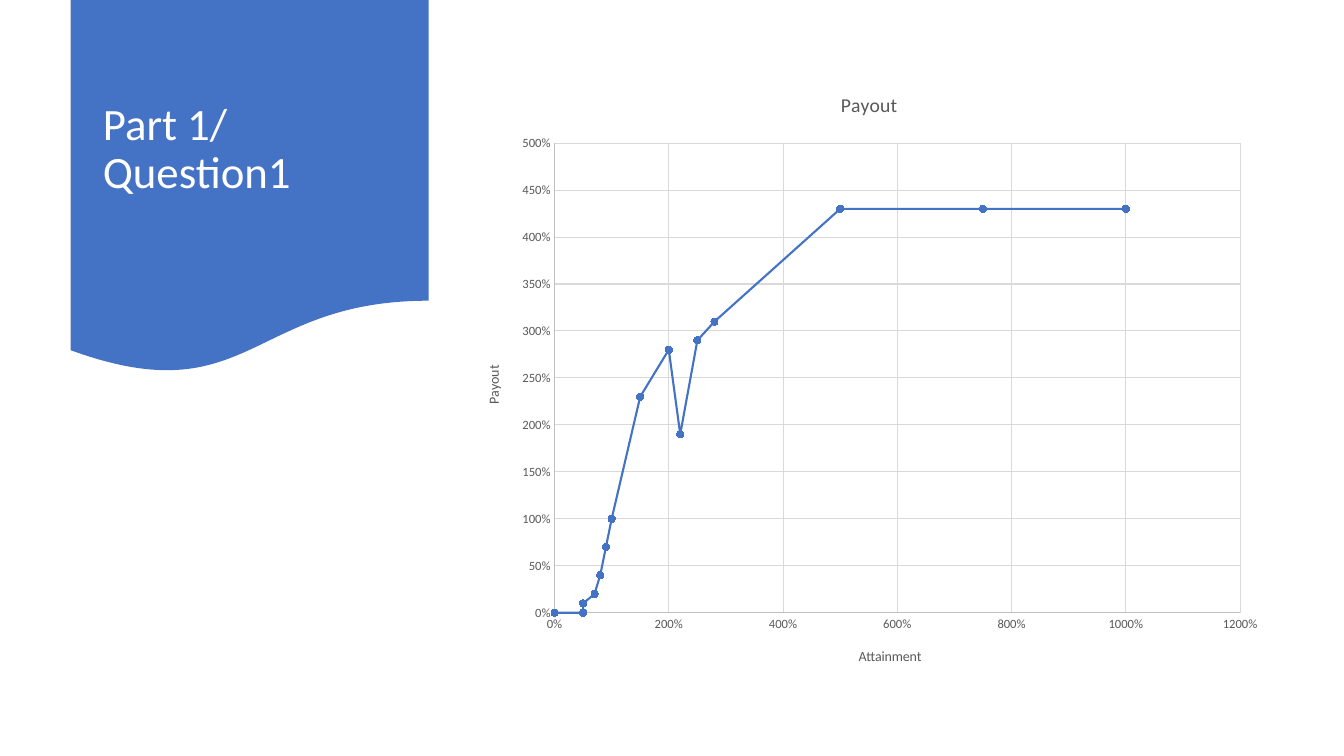
"""Build the payout curve slide with its banner title."""
from lxml.etree import SubElement
from pptx import Presentation
from pptx.chart.data import XyChartData
from pptx.dml.color import RGBColor
from pptx.enum.chart import XL_CHART_TYPE, XL_MARKER_STYLE, XL_TICK_MARK
from pptx.enum.shapes import MSO_SHAPE
from pptx.enum.text import MSO_ANCHOR, MSO_AUTO_SIZE, PP_ALIGN
from pptx.oxml.ns import qn
from pptx.util import Inches, Pt

FONT = "Calibri"
COLORS = {"blue": "4472C4", "white": "FFFFFF", "text": "595959",
          "axis": "BFBFBF", "grid": "D9D9D9"}
HEADING = "Part 1/ Question1"
CURVE_NAME = "Payout"
PAYOUT_BY_ATTAINMENT = [
    (0, 0), (0.5, 0), (0.5, 0.1), (0.7, 0.2), (0.8, 0.4),
    (0.9, 0.7), (1, 1), (1.5, 2.3), (2, 2.8), (2.2, 1.9),
    (2.5, 2.9), (2.8, 3.1), (5, 4.3), (7.5, 4.3), (10, 4.3),
]
AXES = {
    "category_axis": {"title": "Attainment", "maximum": 12, "step": 2,
                      "rotation": 0, "corner": (8.49, 6.4)},
    "value_axis": {"title": "Payout", "maximum": 5, "step": 0.5,
                   "rotation": -90, "corner": (4.78, 3.6)},
}
BANNER_BOX = (0.7, 0, 3.55, 3.72)
HEADING_BOX = (0.92, 0.19, 3.11, 2.59)
CHART_BOX = (4.6, 0.7, 8.04, 6.1)
PLOT_BOX = (5.5, 1.42, 6.8, 4.66)


def color(name):
    return RGBColor.from_string(COLORS[name])


def style_font(font, size, color_name):
    for key, value in {"name": FONT, "size": Pt(size), "bold": False}.items():
        setattr(font, key, value)
    font.color.rgb = color(color_name)


def style_line(line, color_name, width):
    line.color.rgb = color(color_name)
    line.width = Pt(width)


def place_part(element, position, corner, size=()):
    left, top, width, height = CHART_BOX
    layout = element.find(qn("c:layout"))
    if layout is None:
        layout = element.makeelement(qn("c:layout"))
        element.insert(position, layout)
    manual = SubElement(layout, qn("c:manualLayout"))
    settings = {"layoutTarget": "inner"} if size else {}
    settings.update(xMode="edge", yMode="edge",
                    x=(corner[0] - left) / width, y=(corner[1] - top) / height)
    if size:
        settings.update(w=size[0] / width, h=size[1] / height)
    for tag, value in settings.items():
        SubElement(manual, qn(f"c:{tag}")).set("val", str(value))


def add_banner(slide):
    banner = slide.shapes.add_shape(
        MSO_SHAPE.FLOWCHART_DOCUMENT, *map(Inches, BANNER_BOX))
    banner.shadow.inherit = False
    banner.fill.solid()
    banner.fill.fore_color.rgb = color("blue")
    banner.line.fill.background()
    slide.shapes._spTree.insert(2, banner._element)


def add_heading(slide):
    heading = slide.shapes.title
    for side, length in zip(("left", "top", "width", "height"), HEADING_BOX):
        setattr(heading, side, Inches(length))
    frame = heading.text_frame
    frame.text = HEADING
    frame.word_wrap = True
    frame.auto_size = MSO_AUTO_SIZE.NONE
    frame.vertical_anchor = MSO_ANCHOR.MIDDLE
    line = frame.paragraphs[0]
    line.alignment = PP_ALIGN.LEFT
    line.line_spacing = 0.9
    style_font(line.runs[0].font, 32, "white")


def style_axis(axis, content):
    settings = {
        "minimum_scale": 0, "maximum_scale": content["maximum"],
        "major_unit": content["step"], "has_major_gridlines": True,
        "major_tick_mark": XL_TICK_MARK.NONE,
        "minor_tick_mark": XL_TICK_MARK.NONE,
    }
    for key, value in settings.items():
        setattr(axis, key, value)
    axis.tick_labels.number_format = "0%"
    axis.tick_labels.number_format_is_linked = False
    style_font(axis.tick_labels.font, 9, "text")
    style_line(axis.format.line, "axis", 0.75)
    style_line(axis.major_gridlines.format.line, "grid", 0.75)
    frame = axis.axis_title.text_frame
    frame.text = content["title"]
    style_font(frame.paragraphs[0].runs[0].font, 10, "text")
    frame._bodyPr.set("rot", str(content["rotation"] * 60000))
    place_part(axis.axis_title._element, 1, content["corner"])


def add_payout_chart(slide):
    data = XyChartData(number_format="0%")
    curve_data = data.add_series(CURVE_NAME)
    for attainment, payout in PAYOUT_BY_ATTAINMENT:
        curve_data.add_data_point(attainment, payout)
    chart = slide.shapes.add_chart(
        XL_CHART_TYPE.XY_SCATTER_LINES, *map(Inches, CHART_BOX), data).chart
    chart.has_legend = False
    chart.font.name = FONT
    chart.font.size = Pt(10)
    chart.has_title = True
    caption = chart.chart_title.text_frame
    caption.text = CURVE_NAME
    style_font(caption.paragraphs[0].runs[0].font, 14, "text")
    for axis_name, content in AXES.items():
        style_axis(getattr(chart, axis_name), content)
    plot = chart.plots[0]
    plot.vary_by_categories = False
    curve = plot.series[0]
    curve.smooth = False
    style_line(curve.format.line, "blue", 1.5)
    curve.marker.style = XL_MARKER_STYLE.CIRCLE
    curve.marker.size = 5
    curve.marker.format.fill.solid()
    curve.marker.format.fill.fore_color.rgb = color("blue")
    style_line(curve.marker.format.line, "blue", 0.75)
    place_part(chart._chartSpace.chart.plotArea, 0, PLOT_BOX[:2], PLOT_BOX[2:])


def main():
    deck = Presentation()
    deck.slide_width, deck.slide_height = Inches(13.33), Inches(7.5)
    slide = deck.slides.add_slide(deck.slide_layouts[5])
    add_banner(slide)
    add_heading(slide)
    add_payout_chart(slide)
    deck.save("out.pptx")


if __name__ == "__main__":
    main()
